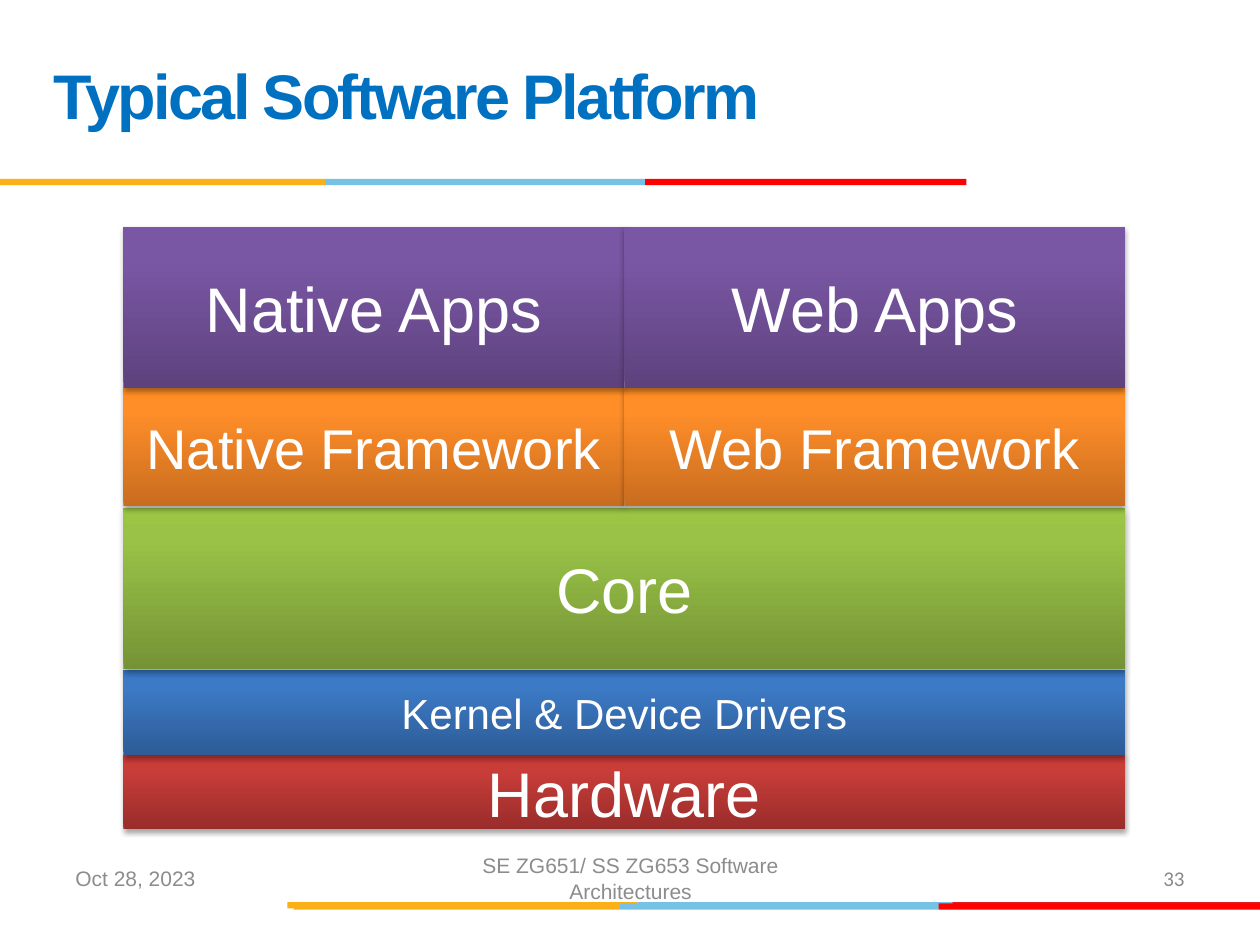
from lxml.etree import SubElement as Sub
from pptx import Presentation
from pptx.dml.color import RGBColor as RGB
from pptx.enum.shapes import MSO_SHAPE as Shape
from pptx.enum.text import MSO_ANCHOR as Anchor, PP_ALIGN as Align
from pptx.oxml.ns import qn
from pptx.util import Inches, Pt

WIDE, HIGH = 10, 7.5
WHITE = RGB(0xFF, 0xFF, 0xFF)
BLUE = RGB(0x00, 0x70, 0xC0)
GRAY = RGB(0x8C, 0x8C, 0x8C)
PALE = RGB(0x89, 0x89, 0x89)
GOLD = RGB(0xFC, 0xB0, 0x17)
SKY = RGB(0x76, 0xC2, 0xE5)
RED = RGB(0xFF, 0x00, 0x00)
ROSE = RGB(0xE3, 0x1C, 0x24)

PURPLE = RGB(0x5D, 0x42, 0x7D), RGB(0x7A, 0x57, 0xA5), RGB(0x7A, 0x56, 0xA7)
ORANGE = RGB(0xC8, 0x6C, 0x1F), RGB(0xFF, 0x8E, 0x29), RGB(0xFF, 0x8D, 0x25)
GREEN = RGB(0x75, 0x93, 0x36), RGB(0x99, 0xC2, 0x47), RGB(0x9B, 0xC5, 0x45)
NAVY = RGB(0x2D, 0x5C, 0x97), RGB(0x3C, 0x7A, 0xC5), RGB(0x39, 0x7B, 0xC9)
BRICK = RGB(0x99, 0x2D, 0x2B), RGB(0xC9, 0x3D, 0x39), RGB(0xCD, 0x3A, 0x36)
STOPS = 0, 80, 100

TITLE = "Typical Software Platform"
FOOT = [
    ("Oct 28, 2023", 0.5, 2.33, Align.LEFT, "Arial", GRAY),
    ("SE ZG651/ SS ZG653 Software Architectures", 3.42, 3.17, Align.CENTER, "Arial", GRAY),
    ("33", 7.17, 2.33, Align.RIGHT, "Calibri", PALE),
]
BANDS = [
    (7.16, [(2.28, GOLD), (5.06, SKY), (7.56, ROSE)], WIDE),
    (7.17, [(2.33, GOLD), (4.92, SKY), (7.45, RED)], WIDE),
    (1.42, [(0, GOLD), (2.58, SKY), (5.12, RED)], 7.67),
]
LAYERS = [
    (["Native Apps", "Web Apps"], 1.28, 0, 36, PURPLE),
    (["Native Framework", "Web Framework"], 0.94, 0.01, 32, ORANGE),
    (["Core"], 1.28, 0.01, 36, GREEN),
    (["Kernel & Device Drivers"], 0.67, 0, 24, NAVY),
    (["Hardware"], 0.59, 0, 36, BRICK),
]
LEFT, TOP, SPAN = 0.98, 1.8, 7.95

deck = Presentation()
deck.slide_width, deck.slide_height = Inches(WIDE), Inches(HIGH)
slide = deck.slides.add_slide(deck.slide_layouts[6])


def write(shape, text, size, color, align=Align.LEFT, face="Arial"):
    frame = shape.text_frame
    frame.word_wrap = True
    frame.vertical_anchor = Anchor.MIDDLE
    para = frame.paragraphs[0]
    para.alignment = align
    run = para.add_run()
    run.text = text
    font = run.font
    font.size, font.name, font.color.rgb = Pt(size), face, color
    return para, run


def label(box, *args):
    return write(slide.shapes.add_textbox(*map(Inches, box)), *args)


def rect(x, y, w, h):
    shape = slide.shapes.add_shape(Shape.RECTANGLE, *map(Inches, (x, y, w, h)))
    shape.shadow.inherit = False
    shape.line.fill.background()
    return shape


def tint(node, color):
    return Sub(node, qn("a:srgbClr"), val=str(color))


def shade(shape, colors):
    shape.fill.gradient()
    shape.fill.gradient_angle = 90
    props = shape.element.spPr
    stops = props.find(qn("a:gradFill")).find(qn("a:gsLst"))
    for old in list(stops):
        stops.remove(old)
    for pos, color in zip(STOPS, colors):
        tint(Sub(stops, qn("a:gs"), pos=str(pos * 1000)), color)
    glow = Sub(props.find(qn("a:effectLst")), qn("a:outerShdw"),
               blurRad=str(Pt(3.1)), dist=str(Pt(1.8)),
               dir="5400000", rotWithShape="0")
    Sub(tint(glow, "000000"), qn("a:alpha"), val="35000")


for y, parts, end in BANDS:
    ends = [x for x, _ in parts[1:]] + [end]
    for (x, color), stop in zip(parts, ends):
        bar = rect(x, y, stop - x, 0.05)
        bar.fill.solid()
        bar.fill.fore_color.rgb = color

para, run = label((0.33, 0.17, 6.92, 1.25), TITLE, 36, BLUE)
para.line_spacing = Pt(36)
run.font.bold = True
run.font._element.set("spc", "-150")

for text, x, w, align, face, color in FOOT:
    label((x, 6.77, w, 0.4), text, 12, color, align, face)

y = TOP + sum(high + gap for _, high, gap, _, _ in LAYERS)
for names, high, gap, size, colors in reversed(LAYERS):
    y -= high + gap
    w = SPAN / len(names)
    for col, name in enumerate(names):
        block = rect(LEFT + col * w, y, w, high)
        shade(block, colors)
        write(block, name, size, WHITE, Align.CENTER)

deck.save("out.pptx")
